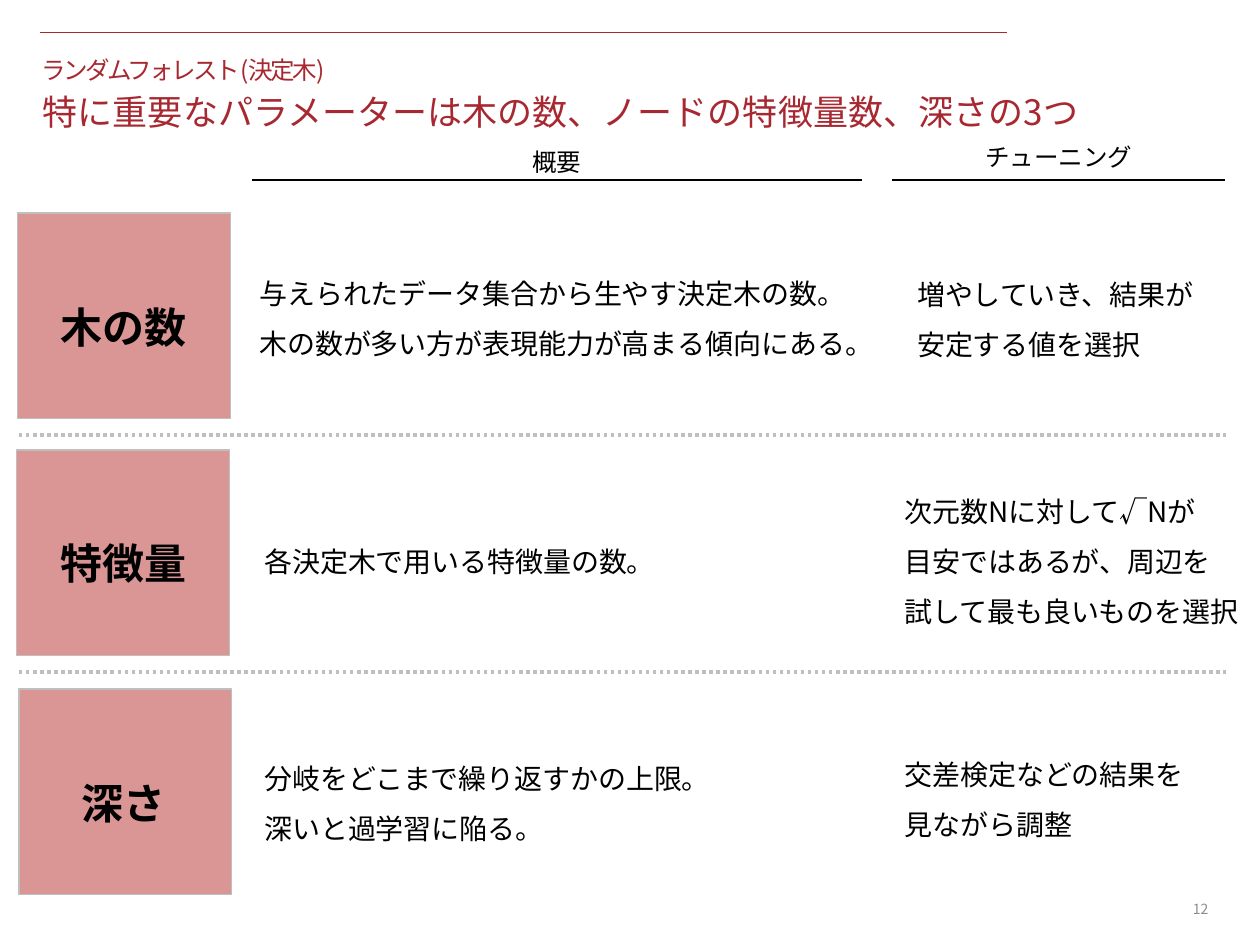
import pptx
import pptx.util
import pptx.dml.color
import pptx.enum.dml
import pptx.enum.lang
import pptx.enum.shapes
import pptx.enum.text
import pptx.oxml
import pptx.oxml.ns

Pt = pptx.util.Pt
RGBColor = pptx.dml.color.RGBColor
ALIGN = pptx.enum.text.PP_ALIGN
ANCHOR = pptx.enum.text.MSO_ANCHOR
FIT = pptx.enum.text.MSO_AUTO_SIZE

CRIMSON = RGBColor(0xA8, 0x28, 0x31)
BLACK = RGBColor(0, 0, 0)
ROSE = RGBColor(0xD9, 0x96, 0x94)
SILVER = RGBColor(0xBF, 0xBF, 0xBF)
GRAY = RGBColor(0x8C, 0x8C, 0x8C)
TYPEFACE = "Noto Sans CJK JP"

FORMATS = {
    "title": {"font": {"size": Pt(20)}, "color": CRIMSON,
              "paragraph": {"line_spacing": 1.1},
              "frame": {"vertical_anchor": ANCHOR.MIDDLE, "word_wrap": True}},
    "topic": {"font": {"size": Pt(14)}, "color": CRIMSON, "tracking": -150,
              "paragraph": {"space_before": Pt(2.8)},
              "frame": {"vertical_anchor": ANCHOR.MIDDLE, "word_wrap": True}},
    "number": {"font": {"size": Pt(8)}, "color": GRAY,
               "paragraph": {"alignment": ALIGN.RIGHT},
               "frame": {"vertical_anchor": ANCHOR.MIDDLE, "word_wrap": True}},
    "heading": {"font": {"size": Pt(14)}, "color": BLACK,
                "paragraph": {"alignment": ALIGN.CENTER},
                "frame": {"word_wrap": True, "auto_size": FIT.SHAPE_TO_FIT_TEXT}},
    "label": {"font": {"size": Pt(24), "bold": True}, "color": BLACK,
              "paragraph": {},
              "frame": {"word_wrap": False, "auto_size": FIT.SHAPE_TO_FIT_TEXT}},
    "detail": {"font": {"size": Pt(16)}, "color": BLACK,
               "paragraph": {"line_spacing": 1.5},
               "frame": {"word_wrap": False, "auto_size": FIT.SHAPE_TO_FIT_TEXT}},
}


def apply(target, values):
    for key, value in values.items():
        setattr(target, key, value)


def write(slide, box, lines, style):
    look = FORMATS[style]
    frame = slide.shapes.add_textbox(*map(Pt, box)).text_frame
    apply(frame, look["frame"])
    for index, line in enumerate(lines):
        paragraph = frame.add_paragraph() if index else frame.paragraphs[0]
        apply(paragraph, look["paragraph"])
        run = paragraph.add_run()
        run.text = line
        apply(run.font, {"name": TYPEFACE, **look["font"],
                         "language_id": pptx.enum.lang.MSO_LANGUAGE_ID.JAPANESE})
        run.font.color.rgb = look["color"]
        properties = run.font._element
        east_asian = pptx.oxml.parse_xml(
            f'<a:ea {pptx.oxml.ns.nsdecls("a")} typeface="{TYPEFACE}"/>')
        properties.find(pptx.oxml.ns.qn("a:latin")).addnext(east_asian)
        if "tracking" in look:
            properties.set("spc", str(look["tracking"]))


def rule(slide, left, right, y, color, width, dash=None):
    line = slide.shapes.add_connector(
        pptx.enum.shapes.MSO_CONNECTOR.STRAIGHT, Pt(left), Pt(y), Pt(right), Pt(y))
    apply(line.line, {"width": Pt(width), "dash_style": dash})
    line.line.color.rgb = color
    line._element.spPr.append(
        pptx.oxml.parse_xml(f'<a:effectLst {pptx.oxml.ns.nsdecls("a")}/>'))


def header(slide, left, top, topic, title):
    rule(slide, left + 6.5, left + 558.8, top, CRIMSON, 0.5)
    write(slide, (left + 0.8, top + 20.9, 689.8, 45.4), [title], "title")
    write(slide, (left, top + 13, 681.1, 15.8), [topic], "topic")


def column_heading(slide, left, right, baseline, rise, name):
    write(slide, (left, baseline - rise, right - left, 24.5), [name], "heading")
    rule(slide, left, right, baseline, BLACK, 1)


def parameter_row(slide, left, top, shift, name, overview, tuning):
    tile = slide.shapes.add_shape(
        pptx.enum.shapes.MSO_SHAPE.RECTANGLE,
        Pt(left + shift), Pt(top), Pt(121.7), Pt(117.4))
    tile.shadow.inherit = False
    tile.fill.solid()
    tile.fill.fore_color.rgb = ROSE
    tile.line.color.rgb = SILVER
    tile.line.width = Pt(0.75)
    label_width = 24 * len(name) + 15
    write(slide, (left + 60.8 - label_width / 2, top + 46.8, label_width, 36),
          [name], "label")
    for x, y, width, lines in (overview, tuning):
        write(slide, (left + x, top + y, width, 28.8 * len(lines) + 7.2),
              lines, "detail")


ROWS = [
    (121.7, 0, "木の数",
     (131, 23, 370, ["与えられたデータ集合から生やす決定木の数。",
                     "木の数が多い方が表現能力が高まる傾向にある。"]),
     (506.9, 23.7, 176.4, ["増やしていき、結果が", "安定する値を選択"])),
    (257.1, -0.7, "特徴量",
     (133.9, 41, 240.5, ["各決定木で用いる特徴量の数。"]),
     (499.7, 12.2, 208.1, ["次元数Nに対して√Nが", "目安ではあるが、周辺を",
                           "試して最も良いものを選択"])),
    (393.8, 0.7, "深さ",
     (133.9, 28.1, 272.9, ["分岐をどこまで繰り返すかの上限。",
                           "深いと過学習に陥る。"]),
     (499.7, 26, 176.4, ["交差検定などの結果を", "見ながら調整"])),
]

deck = pptx.Presentation()
deck.slide_width, deck.slide_height = Pt(720), Pt(540)
slide = deck.slides.add_slide(deck.slide_layouts[6])

header(slide, 16.6, 18.7, "ランダムフォレスト(決定木)",
       "特に重要なパラメーターは木の数、ノードの特徴量数、深さの3つ")
column_heading(slide, 144, 492.5, 103, 22.4, "概要")
column_heading(slide, 510, 700, 103, 25.2, "チューニング")
for top, *content in ROWS:
    parameter_row(slide, 10.1, top, *content)
for top, *_ in ROWS[:-1]:
    rule(slide, 10.8, 700.3, top + 127, SILVER, 2,
         pptx.enum.dml.MSO_LINE.ROUND_DOT)
write(slide, (529.9, 509.8, 167.8, 19.4), ["12"], "number")

deck.save("out.pptx")
